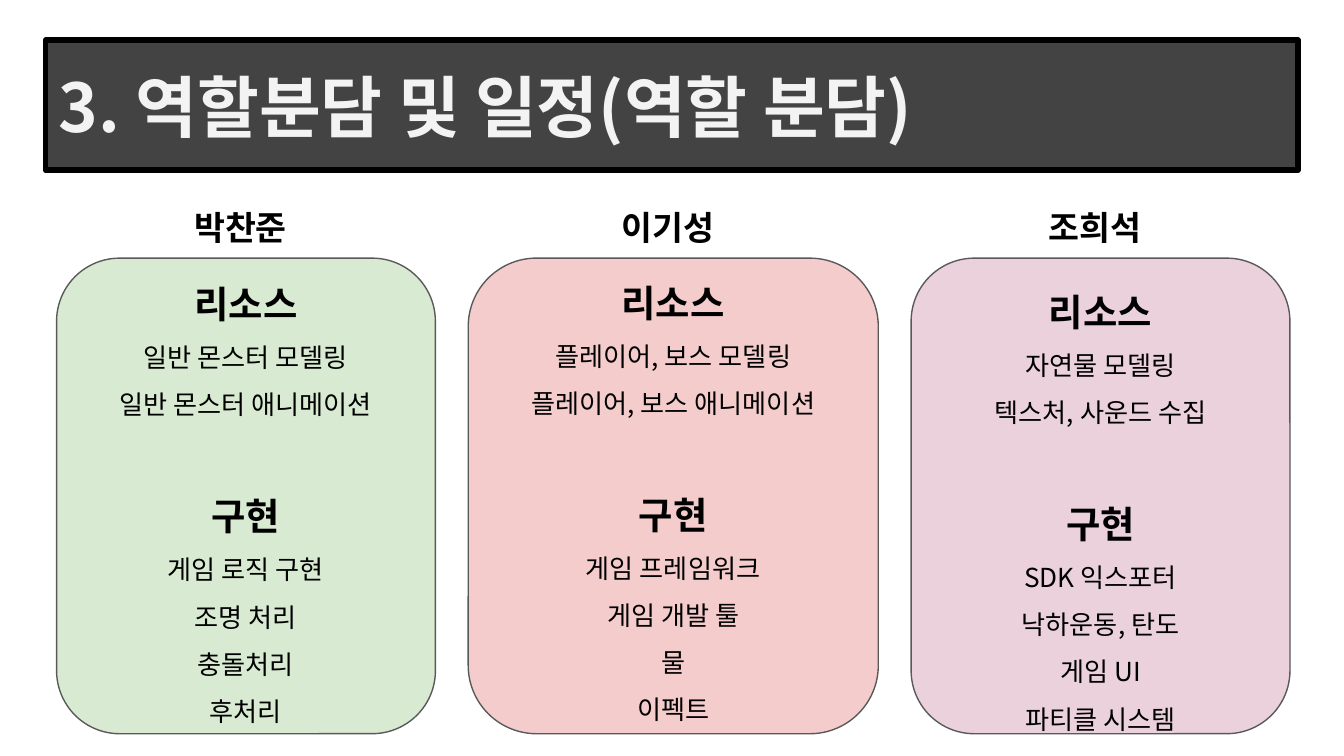
from lxml import etree
from pptx import Presentation
from pptx.dml.color import RGBColor
from pptx.enum.shapes import MSO_SHAPE
from pptx.enum.text import MSO_ANCHOR, MSO_AUTO_SIZE, PP_ALIGN
from pptx.oxml.ns import qn
from pptx.util import Cm, Pt

TITLE = "3. 역할분담 및 일정(역할 분담)"

# "drop" is the space above the first heading, in cm
MEMBERS = [
    {"name": "박찬준", "width": 7.16, "fill": "D9EAD3", "drop": 0.08, "roles": [
        ("리소스", ["일반 몬스터 모델링", "일반 몬스터 애니메이션"]),
        ("구현", ["게임 로직 구현", "조명 처리", "충돌처리", "후처리"])]},
    {"name": "이기성", "width": 7.75, "fill": "F4CCCC", "drop": 0.03, "roles": [
        ("리소스", ["플레이어, 보스 모델링", "플레이어, 보스 애니메이션"]),
        ("구현", ["게임 프레임워크", "게임 개발 툴", "물", "이펙트"])]},
    {"name": "조희석", "width": 7.16, "fill": "EAD1DC", "drop": 0.23, "roles": [
        ("리소스", ["자연물 모델링", "텍스처, 사운드 수집"]),
        ("구현", ["SDK 익스포터", "낙하운동, 탄도", "게임 UI", "파티클 시스템"])]},
]

THEME = {
    "font": "Noto Sans CJK KR",
    "bar": "434343", "bar_line": "000000", "card_line": "595959",
    "title": {"size": 36, "bold": True, "color": "F3F3F3"},
    "name": {"size": 18, "bold": True, "color": "000000"},
    "heading": {"size": 20, "bold": True, "color": "000000"},
    "item": {"size": 14, "bold": False, "color": "000000"},
}

INSET = 0.25
CARD_LEFT, CARD_TOP, CARD_HEIGHT, CARD_GAP = 1.07, 4.88, 8.99, 0.62
NAME_TOP, NAME_WIDTH, NAME_HEIGHT, NAME_SHIFT = 3.58, 3.1, 0.66, -1.23


def set_frame(tf, top=INSET, anchor=MSO_ANCHOR.TOP, side=INSET, bottom=INSET):
    values = {"word_wrap": True, "auto_size": MSO_AUTO_SIZE.NONE,
              "vertical_anchor": anchor, "margin_left": Cm(side),
              "margin_right": Cm(side), "margin_top": Cm(top),
              "margin_bottom": Cm(bottom)}
    for key, value in values.items():
        setattr(tf, key, value)


def write(p, text, style, **layout):
    """Fill a paragraph with one run in a theme style."""
    for key, value in layout.items():
        setattr(p, key, value)
    r = p.add_run()
    r.text = text
    look = THEME[style]
    r.font.size, r.font.bold = Pt(look["size"]), look["bold"]
    r.font.color.rgb = RGBColor.from_string(look["color"])
    r.font.name = THEME["font"]
    etree.SubElement(r.font._element, qn("a:ea")).set("typeface", THEME["font"])


def paint(s, fill, line, width):
    s.fill.solid()
    s.fill.fore_color.rgb = RGBColor.from_string(fill)
    s.line.color.rgb = RGBColor.from_string(line)
    s.line.width = Pt(width)


def add_title(slide):
    s = slide.shapes.title
    s.left, s.top, s.width, s.height = Cm(0.86), Cm(0.76), Cm(23.67), Cm(2.46)
    paint(s, THEME["bar"], THEME["bar_line"], 3)
    set_frame(s.text_frame, anchor=MSO_ANCHOR.MIDDLE)
    write(s.text_frame.paragraphs[0], TITLE, "title", alignment=PP_ALIGN.LEFT)


def add_card(slide, member, left):
    s = slide.shapes.add_shape(MSO_SHAPE.ROUNDED_RECTANGLE, Cm(left), Cm(CARD_TOP),
                               Cm(member["width"]), Cm(CARD_HEIGHT))
    s.shadow.inherit = False
    paint(s, member["fill"], THEME["card_line"], 0.75)
    tf = s.text_frame
    set_frame(tf, top=member["drop"], side=0, bottom=0)
    for i, (heading, items) in enumerate(member["roles"]):
        p = tf.add_paragraph() if i else tf.paragraphs[0]
        write(p, heading, "heading", alignment=PP_ALIGN.CENTER,
              line_spacing=Pt(24), space_before=Pt(39.5 if i else 0))
        for item in items:
            write(tf.add_paragraph(), item, "item",
                  alignment=PP_ALIGN.CENTER, line_spacing=Pt(25.2))


def add_name(slide, name, center):
    s = slide.shapes.add_textbox(Cm(center + NAME_SHIFT), Cm(NAME_TOP),
                                 Cm(NAME_WIDTH), Cm(NAME_HEIGHT))
    set_frame(s.text_frame)
    write(s.text_frame.paragraphs[0], name, "name", line_spacing=Pt(24))


def main():
    prs = Presentation()
    prs.slide_width, prs.slide_height = Cm(25.4), Cm(14.29)
    slide = prs.slides.add_slide(prs.slide_layouts.get_by_name("Title Only"))
    add_title(slide)
    left = CARD_LEFT
    for member in MEMBERS:
        add_card(slide, member, left)
        add_name(slide, member["name"], left + member["width"] / 2)
        left += member["width"] + CARD_GAP
    prs.save("out.pptx")


if __name__ == "__main__":
    main()
